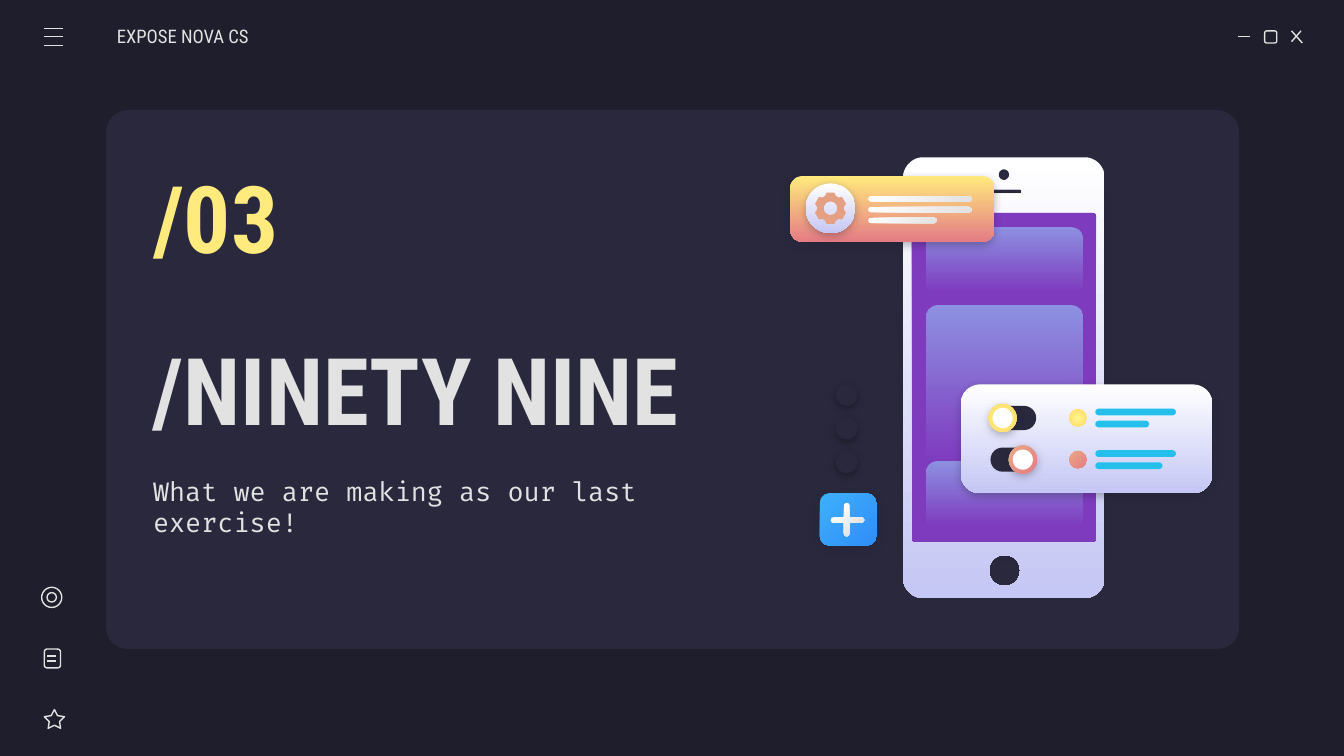
import math
import pptx
import pptx.util
import pptx.oxml
import pptx.oxml.ns
import pptx.dml.color
import pptx.enum.shapes
import pptx.enum.text
from lxml import etree

Inches = pptx.util.Inches
Pt = pptx.util.Pt
KIND = pptx.enum.shapes.MSO_SHAPE
ROUND, OVAL = KIND.ROUNDED_RECTANGLE, KIND.OVAL
NIGHT, PANEL, PALE, PURPLE = "1E1E2C", "29283D", "E2E2E2", "7E3BBE"
FROST = ("FFFFFF", "C5C7F4", 90)
SILVER = ("FFFFFF", PALE, 45)
GOLD = ("FFF68E", "FFD966", None)
CORAL = ("E9A984", "E57C85", 45)


def rgb(code):
    return pptx.dml.color.RGBColor.from_string(code)


def sub(node, tag, **attrs):
    return etree.SubElement(node, pptx.oxml.ns.qn(tag), **attrs)


def paint(shape, fill):
    if fill is None:
        shape.fill.background()
    elif isinstance(fill, str):
        shape.fill.solid()
        shape.fill.fore_color.rgb = rgb(fill)
    else:
        first, last, angle = fill
        shape.fill.gradient()
        for stop, code in zip(shape.fill.gradient_stops, (first, last)):
            stop.color.rgb = rgb(code)
        if angle is None:
            grad = shape._element.spPr.find(pptx.oxml.ns.qn("a:gradFill"))
            grad.remove(grad.find(pptx.oxml.ns.qn("a:lin")))
            glow = sub(grad, "a:path", path="circle")
            sub(glow, "a:fillToRect", l="50000", t="50000", r="50000", b="50000")
        else:
            shape.fill.gradient_angle = 360 - angle


def finish(shape, fill, line=None, shade=None):
    paint(shape, fill)
    shape.shadow.inherit = False
    if line:
        shape.line.color.rgb = rgb(line)
        shape.line.width = Pt(0.75)
    else:
        shape.line.fill.background()
    if shade:
        effects = shape._element.spPr.find(pptx.oxml.ns.qn("a:effectLst"))
        drop = sub(effects, "a:outerShdw", blurRad=str(Pt(4.5)), dist=str(Pt(1.5)),
                   dir="5400000", algn="bl", rotWithShape="0")
        tint = sub(drop, "a:srgbClr", val=shade)
        sub(tint, "a:alpha", val="30000")


def add(slide, kind, box, fill=None, adj=None, line=None, shade=None):
    shape = slide.shapes.add_shape(kind, *map(Inches, box))
    if adj is not None:
        shape.adjustments[0] = adj
    finish(shape, fill, line, shade)


def disc(slide, x, y, size, fill, shade=None):
    add(slide, OVAL, (x - size / 2, y - size / 2, size, size), fill, shade=shade)


def rule(slide, *ends):
    line = slide.shapes.add_connector(
        pptx.enum.shapes.MSO_CONNECTOR.STRAIGHT, *map(Inches, ends))
    line.line.color.rgb = rgb(PALE)
    line.line.width = Pt(0.75)
    sub(line._element.spPr, "a:effectLst")


def write(slide, box, text, size, color, font="Roboto Condensed",
          bold=False, left=0.1):
    frame = slide.shapes.add_textbox(*map(Inches, box)).text_frame
    frame.word_wrap = True
    frame.vertical_anchor = pptx.enum.text.MSO_ANCHOR.MIDDLE
    frame.margin_left = Inches(left)
    frame.margin_right = frame.margin_top = frame.margin_bottom = Inches(0.1)
    para = frame.paragraphs[0]
    para.text = text
    para.font.size = Pt(size)
    para.font.name = font
    para.font.bold = bold
    para.font.color.rgb = rgb(color)


def polar(x, y, radius, angle):
    turn = math.radians(angle)
    return Inches(x + radius * math.cos(turn)), Inches(y + radius * math.sin(turn))


def bend(left, top, wide, high, radius):
    right, low = left + wide - radius, top + high - radius
    left, top = left + radius, top + radius
    hubs = ((right, low), (left, low), (left, top), (right, top))
    return [polar(x, y, radius, 90 * n + 10 * step)
            for n, (x, y) in enumerate(hubs) for step in range(10)]


def cut(slide, rim, holes, fill):
    path = slide.shapes.build_freeform(*rim[0])
    path.add_line_segments(rim[1:], close=True)
    for hole in holes:
        back = hole[::-1]
        path.move_to(*back[0])
        path.add_line_segments(back[1:], close=True)
    finish(path.convert_to_shape(), fill)


def gear(slide, x, y):
    teeth = ((0.1, -24), (0.12, -14), (0.12, 14), (0.1, 24))
    rim = [polar(x, y, radius, 60 * n + 30 + turn)
           for n in range(6) for radius, turn in teeth]
    cut(slide, rim, [bend(x - 0.05, y - 0.05, 0.1, 0.1, 0.05)], "E5A083")


def icons(slide):
    rule(slide, 9.21, 0.27, 9.3, 0.27)
    add(slide, ROUND, (9.41, 0.23, 0.09, 0.09), adj=0.167, line=PALE)
    rule(slide, 9.61, 0.23, 9.69, 0.32)
    rule(slide, 9.68, 0.23, 9.61, 0.31)
    for y in (0.21, 0.34, 0.27):
        rule(slide, 0.33, y, 0.47, y)
    add(slide, KIND.STAR_5_POINT, (0.33, 5.28, 0.15, 0.14), adj=0.254, line=PALE)
    add(slide, ROUND, (0.33, 4.83, 0.12, 0.14), adj=0.167, line=PALE)
    for y in (4.88, 4.92):
        rule(slide, 0.35, y, 0.42, y)
    add(slide, OVAL, (0.31, 4.37, 0.15, 0.15), line=PALE)
    add(slide, OVAL, (0.35, 4.41, 0.07, 0.07), line=PALE)


def phone(slide):
    add(slide, ROUND, (6.74, 1.47, 1.46, 2.63), PURPLE, 0, shade=NIGHT)
    for y, high in ((1.69, 0.49), (2.27, 1.17), (3.43, 0.49)):
        add(slide, ROUND, (6.89, y, 1.17, high), ("8D90E1", PURPLE, 90), 0.09 / high)
    lens = bend(7.43, 1.26, 0.08, 0.08, 0.04)
    slot = bend(7.35, 1.41, 0.25, 0.03, 0.01)
    screen = bend(6.78, 1.58, 1.38, 2.46, 0.03)
    home = bend(7.36, 4.13, 0.23, 0.23, 0.11)
    cut(slide, bend(6.72, 1.17, 1.5, 3.28, 0.15), (lens, slot, screen, home), FROST)


def notice(slide):
    add(slide, ROUND, (5.88, 1.31, 1.52, 0.49), ("FFEA7D", "E57C85", 90), 0.187, shade=NIGHT)
    disc(slide, 6.18, 1.55, 0.37, FROST, NIGHT)
    gear(slide, 6.18, 1.55)
    for n, wide in enumerate((0.77, 0.77, 0.51)):
        add(slide, ROUND, (6.46, 1.46 + 0.08 * n, wide, 0.04), SILVER, 0.5)


def switches(slide):
    add(slide, ROUND, (7.15, 2.86, 1.87, 0.81), FROST, 0.175, shade=NIGHT)
    for y, knob, fill, short in ((3.11, 7.46, GOLD, 0.4), (3.42, 7.61, CORAL, 0.5)):
        add(slide, ROUND, (7.37, y - 0.09, 0.34, 0.18), PANEL, 0.5)
        disc(slide, knob, y, 0.21, fill, NIGHT)
        disc(slide, knob, y, 0.15, "FFFFFF")
        disc(slide, 8.02, y, 0.13, fill)
        add(slide, ROUND, (8.15, y - 0.07, 0.6, 0.05), "24BFEB", 0.5)
        add(slide, ROUND, (8.15, y + 0.02, short, 0.05), "24BFEB", 0.5)


def button(slide):
    add(slide, ROUND, (6.1, 3.67, 0.42, 0.39), ("3DB0FD", "308EF7", 45), 0.183, shade=NIGHT)
    add(slide, ROUND, (6.18, 3.85, 0.25, 0.04), SILVER, 0.5)
    add(slide, ROUND, (6.28, 3.74, 0.04, 0.25), SILVER, 0.5)
    for n in range(3):
        disc(slide, 6.3, 3.44 - 0.25 * n, 0.16, PANEL, "000000")


def main():
    deck = pptx.Presentation()
    deck.slide_width = Inches(10)
    deck.slide_height = deck.slide_width * 9 // 16
    slide = deck.slides.add_slide(deck.slide_layouts[6])
    slide.background.fill.solid()
    slide.background.fill.fore_color.rgb = rgb(NIGHT)
    add(slide, ROUND, (0.79, 0.82, 8.43, 4.01), PANEL, 0.04)
    icons(slide)
    write(slide, (1.04, 2.07, 4.3, 1.64), "/NINETY NINE", 50, PALE, bold=True)
    write(slide, (1.04, 1.15, 1.78, 0.92), "/03", 50, "FFEA7D", bold=True)
    write(slide, (1.04, 3.38, 4.89, 0.78), "What we are making as our last exercise!",
          14, PALE, "Fira Code")
    phone(slide)
    notice(slide)
    switches(slide)
    button(slide)
    write(slide, (0.87, 0.12, 1.17, 0.3), "EXPOSE NOVA CS", 10, PALE, left=0)
    deck.save("out.pptx")


main()
